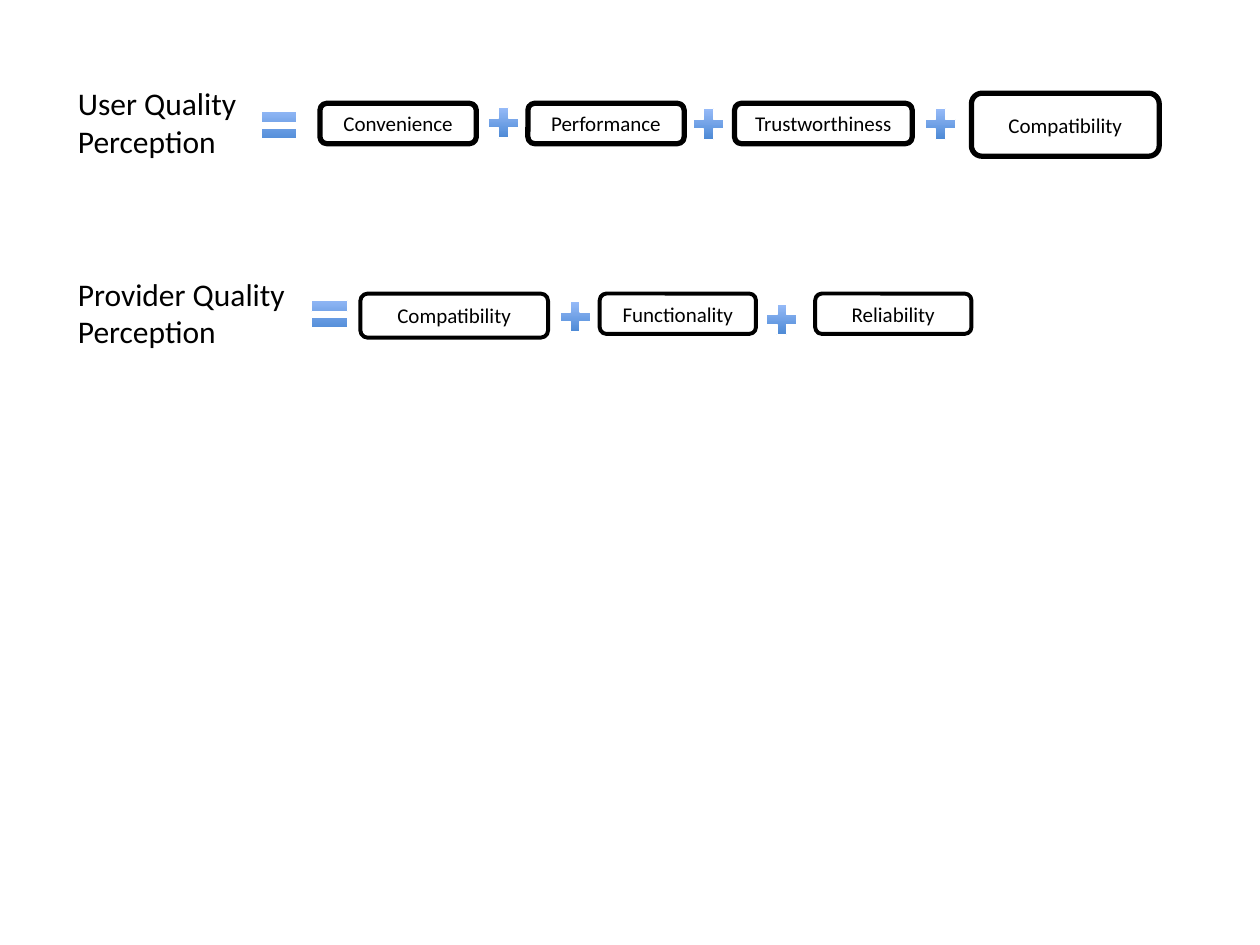
"""Build the slide that sums up user and provider quality perception."""
from pptx import Presentation
from pptx.dml.color import RGBColor
from pptx.enum.shapes import MSO_SHAPE as Shape
from pptx.enum.text import MSO_ANCHOR as Anchor, MSO_AUTO_SIZE as AutoSize, PP_ALIGN as Align
from pptx.util import Inches, Pt

COLORS = {
    "text": "000000",
    "box": "FFFFFF",
    "border": "000000",
    "sign_edge": "FFFFFF",
    "sign_dark": "3F80CE",
    "sign_light": "A4C4FF",
}
EQUATIONS = [
    {
        "subject": "User Quality", "label": (0.52, 0.62, 1.47, 0.71), "border": 3,
        "equal": (2.02, 0.81), "pluses": [(3.83, 0.81), (5.46, 0.82), (7.3, 0.82)],
        "factors": [
            ("Convenience", (2.54, 0.82, 1.24, 0.32)),
            ("Performance", (4.19, 0.82, 1.24, 0.32)),
            ("Trustworthiness", (5.83, 0.82, 1.41, 0.32)),
            ("Compatibility", (7.71, 0.74, 1.49, 0.5)),
        ],
    },
    {
        "subject": "Provider Quality", "label": (0.52, 2.13, 1.87, 0.71), "border": 2.25,
        "equal": (2.42, 2.31), "pluses": [(4.4, 2.35), (6.04, 2.37)],
        "factors": [
            ("Compatibility", (2.86, 2.33, 1.49, 0.35)),
            ("Functionality", (4.76, 2.33, 1.24, 0.32)),
            ("Reliability", (6.47, 2.33, 1.24, 0.32)),
        ],
    },
]


def add_text(para, text, size):
    span = para.add_run()
    span.text = text
    span.font.name = "Calibri"
    span.font.size = Pt(size)
    span.font.color.rgb = RGBColor.from_string(COLORS["text"])


def add_outlined(kind, place, edge, width):
    shape = page.shapes.add_shape(kind, *map(Inches, place))
    shape.shadow.inherit = False
    shape.line.color.rgb = RGBColor.from_string(COLORS[edge])
    shape.line.width = Pt(width)
    return shape


deck = Presentation()
deck.slide_width, deck.slide_height = Inches(10), Inches(7.5)
page = deck.slides.add_slide(deck.slide_layouts.get_by_name("Blank"))

for equation in EQUATIONS:
    label = page.shapes.add_textbox(*map(Inches, equation["label"]))
    frame = label.text_frame
    frame.word_wrap = False
    frame.auto_size = AutoSize.SHAPE_TO_FIT_TEXT
    add_text(frame.paragraphs[0], equation["subject"], 18)
    add_text(frame.add_paragraph(), "Perception", 18)

    for name, place in equation["factors"]:
        box = add_outlined(Shape.ROUNDED_RECTANGLE, place, "border", equation["border"])
        box.fill.solid()
        box.fill.fore_color.rgb = RGBColor.from_string(COLORS["box"])
        box.text_frame.word_wrap = True
        box.text_frame.vertical_anchor = Anchor.MIDDLE
        para = box.text_frame.paragraphs[0]
        para.alignment = Align.CENTER
        add_text(para, name, 12)

    signs = [(Shape.MATH_EQUAL, (*equation["equal"], 0.39, 0.37))]
    signs += [(Shape.MATH_PLUS, (*corner, 0.33, 0.33)) for corner in equation["pluses"]]
    for kind, place in signs:
        sign = add_outlined(kind, place, "sign_edge", 0.75)
        sign.fill.gradient()
        sign.fill.gradient_angle = 90
        for stop, shade in zip(sign.fill.gradient_stops, ("sign_dark", "sign_light")):
            stop.color.rgb = RGBColor.from_string(COLORS[shade])

deck.save("out.pptx")
